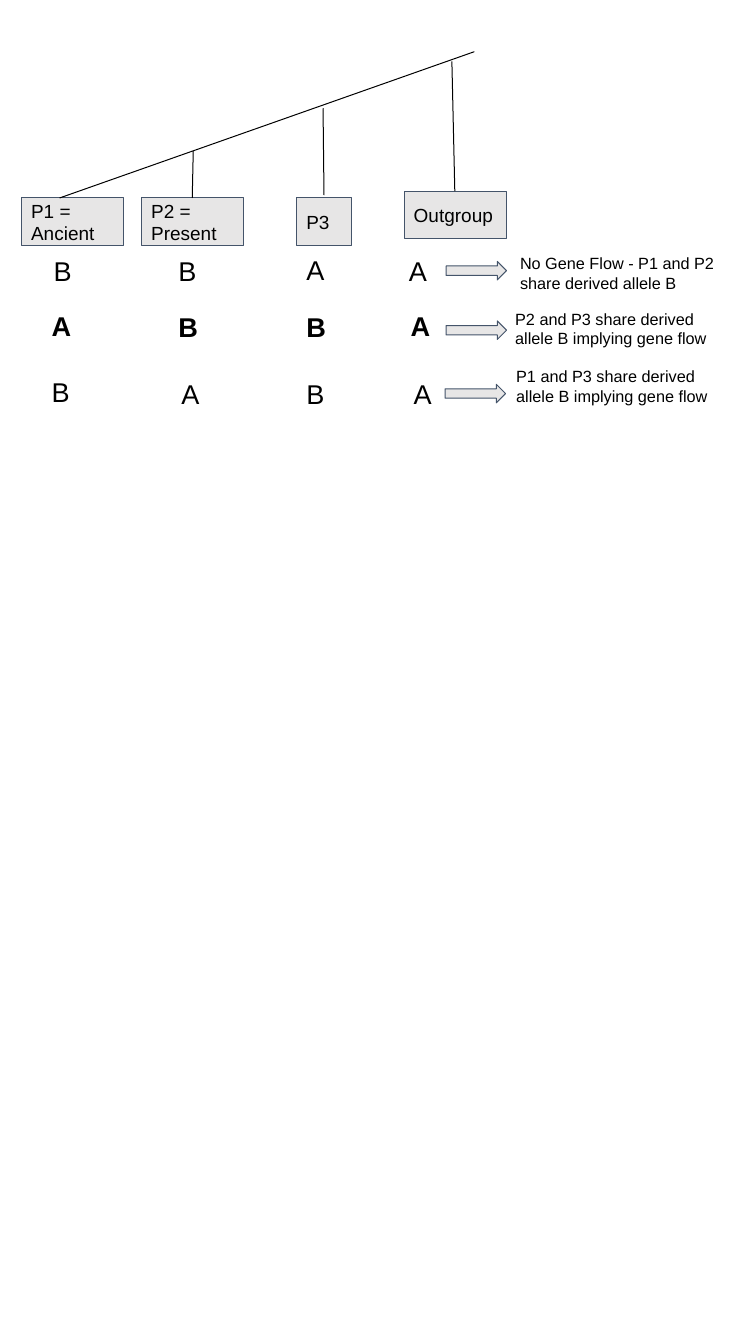
"""Build a slide showing ABBA-BABA allele patterns on a four-taxon tree."""
from lxml import etree
from pptx import Presentation
from pptx import util as u
from pptx.dml.color import RGBColor
from pptx.enum import shapes, text
from pptx.oxml.ns import qn

COLORS = {"ink": "000000", "box": "E7E6E6", "outline": "44546A"}

presentation = Presentation()
presentation.slide_width = u.Inches(7.5)
presentation.slide_height = u.Emu(12599988)
slide = presentation.slides.add_slide(presentation.slide_layouts[6])
diagram = slide.shapes.add_group_shape().shapes


def write(shape, wording, size, bold=False, margin=0.1,
          anchor=text.MSO_ANCHOR.TOP, fit=text.MSO_AUTO_SIZE.SHAPE_TO_FIT_TEXT):
    """Put formatted Arial text in a shape."""
    frame = shape.text_frame
    frame.word_wrap = True
    frame.auto_size = fit
    frame.vertical_anchor = anchor
    frame.margin_left = frame.margin_right = u.Inches(0.1)
    frame.margin_top = frame.margin_bottom = u.Inches(margin)
    paragraph = frame.paragraphs[0]
    paragraph.alignment = text.PP_ALIGN.LEFT
    run = paragraph.add_run()
    run.text = wording
    run.font.name = "Arial"
    run.font.size = u.Pt(size)
    run.font.bold = bold
    run.font.color.rgb = RGBColor.from_string(COLORS["ink"])


def add_gray_shape(kind, left, top, width, height):
    """Add a gray shape with a thin outline."""
    shape = diagram.add_shape(
        kind, u.Inches(left), u.Inches(top), u.Inches(width), u.Inches(height))
    shape.shadow.inherit = False
    shape.fill.solid()
    shape.fill.fore_color.rgb = RGBColor.from_string(COLORS["box"])
    shape.line.color.rgb = RGBColor.from_string(COLORS["outline"])
    shape.line.width = u.Pt(0.75)
    return shape


populations = [
    ("P1 = Ancient", 0.22, 2.03, 1.05),
    ("P2 = Present", 1.45, 2.03, 1.05),
    ("P3", 3.04, 2.03, 0.56),
    ("Outgroup", 4.14, 1.96, 1.05),
]
for name, left, top, width in populations:
    box = add_gray_shape(shapes.MSO_SHAPE.RECTANGLE, left, top, width, 0.49)
    write(box, name, 14, anchor=text.MSO_ANCHOR.MIDDLE, fit=text.MSO_AUTO_SIZE.NONE)

branches = [
    (0.61, 2.03, 4.86, 0.53),
    (1.97, 2.03, 1.98, 1.55),
    (3.32, 2, 3.31, 1.11),
    (4.66, 1.96, 4.63, 0.63),
]
for branch in branches:
    line = diagram.add_connector(
        shapes.MSO_CONNECTOR.STRAIGHT, *[u.Inches(value) for value in branch])
    line.line.color.rgb = RGBColor.from_string(COLORS["ink"])
    line.line.width = u.Pt(0.75)
    etree.SubElement(line._element.spPr, qn("a:effectLst"))

patterns = [
    ("BBAA", False,
     [(0.45, 2.56, 0.62), (1.73, 2.56, 0.47), (3.04, 2.55, 0.62), (4.09, 2.56, 0.62)],
     (4.57, 2.68), (5.23, 2.5, 2.24), "No Gene Flow - P1 and P2 share derived allele B"),
    ("ABBA", True,
     [(0.43, 3.12, 0.62), (1.73, 3.13, 0.62), (3.04, 3.13, 0.62), (4.11, 3.12, 0.62)],
     (4.57, 3.29), (5.18, 3.07, 2.28), "P2 and P3 share derived allele B implying gene flow"),
    ("BABA", False,
     [(0.43, 3.8, 0.62), (1.76, 3.82, 0.62), (3.04, 3.82, 0.62), (4.14, 3.82, 0.62)],
     (4.56, 3.94), (5.19, 3.66, 2.31), "P1 and P3 share derived allele B implying gene flow"),
]
for alleles, bold, places, arrow_place, note_place, meaning in patterns:
    left, top, width = note_place
    note = diagram.add_textbox(
        u.Inches(left), u.Inches(top), u.Inches(width), u.Inches(0.61))
    write(note, meaning, 12)
    add_gray_shape(shapes.MSO_SHAPE.RIGHT_ARROW, *arrow_place, 0.62, 0.19)
    for allele, (left, top, width) in zip(alleles, places):
        label = diagram.add_textbox(
            u.Inches(left), u.Inches(top), u.Inches(width), u.Inches(0.44))
        write(label, allele, 20, bold=bold, margin=0.05)

presentation.save("out.pptx")
